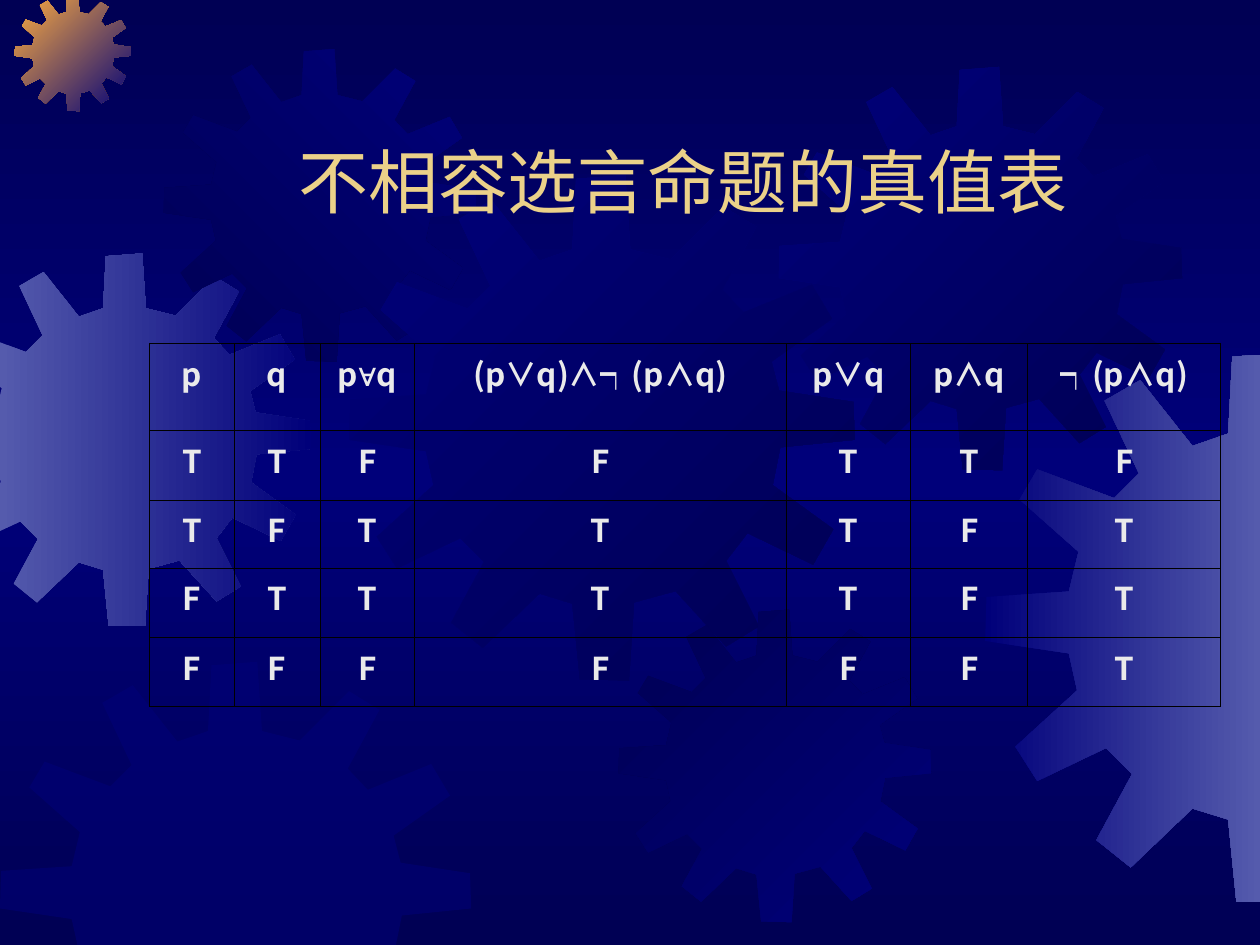
"""Build the truth table slide for exclusive disjunction on a background of gears."""
from copy import deepcopy

from lxml import etree
from pptx import Presentation
from pptx.dml.color import RGBColor
from pptx.enum import text as t
from pptx.oxml import ns
from pptx.util import Cm, Pt

COLORS = {
    "night": "000054", "navy": "00007A", "haze": "555BAD", "orange": "FCAB40",
    "gold": "EBD189", "light": "EAEAEA", "rule": "000000",
}
FONT = "Noto Sans CJK SC"
WIDTH, HEIGHT = 25.4, 19.05
GEAR_SPAN = 401
GEAR = [
    (255, 67), (223, 59), (219, 0), (180, 3), (177, 59), (151, 68), (113, 20), (87, 35),
    (112, 88), (94, 106), (38, 85), (25, 107), (68, 145), (61, 174), (1, 178), (0, 210),
    (61, 219), (67, 246), (22, 287), (38, 312), (88, 288), (107, 307), (81, 355), (106, 375),
    (151, 332), (177, 340), (183, 400), (222, 401), (226, 339), (259, 330), (299, 374), (325, 358),
    (299, 306), (316, 284), (368, 309), (384, 281), (336, 246), (342, 216), (401, 210), (400, 180),
    (341, 171), (335, 148), (383, 114), (367, 87), (313, 109), (296, 91), (323, 41), (297, 25),
]


def clip(points, axis, limit, sign):
    """Keep the part of an outline on one side of a slide edge."""
    kept = []
    for a, b in zip(points, points[1:] + points[:1]):
        a_inside, b_inside = (sign * (p[axis] - limit) >= 0 for p in (a, b))
        if a_inside:
            kept.append(a)
        if a_inside != b_inside:
            share = (limit - a[axis]) / (b[axis] - a[axis])
            kept.append(tuple(m + share * (n - m) for m, n in zip(a, b)))
    return kept


def style(paragraph, size, color, bold=False):
    """Centre a paragraph and set its font for Latin and East Asian text."""
    paragraph.alignment = t.PP_ALIGN.CENTER
    font = paragraph.font
    font.size, font.bold, font.name = Pt(size), bold, FONT
    font.color.rgb = RGBColor.from_string(COLORS[color])
    defaults = paragraph._p.pPr.find(ns.qn("a:defRPr"))
    etree.SubElement(defaults, ns.qn("a:ea"), typeface=FONT)


prs = Presentation()
prs.slide_width, prs.slide_height = Cm(WIDTH), Cm(HEIGHT)
slide = prs.slides.add_slide(prs.slide_layouts[6])

backdrop = slide.background.fill
backdrop.gradient()
backdrop.gradient_angle = 90
first_stop = backdrop.gradient_stops[0]._gs
first_stop.addnext(deepcopy(first_stop))
for stop, position, color in zip(backdrop.gradient_stops, (0, 0.5, 1), ("night", "navy", "night")):
    stop.position = position
    stop.color.rgb = RGBColor.from_string(COLORS[color])

gears = [
    (-1.24, 5.11, 7.52, ("haze", "navy"), 0),
    (0.3, -0.1, 2.34, ("orange", "navy"), 45),
    (3.3, 0.99, 6.3, ("night", "navy"), 315),
    (7.04, 3.53, 10.19, ("navy", "night"), 45),
    (0, 13.34, 9.5, ("navy",), 0),
    (12.47, 12.29, 6.3, ("night", "navy"), 45),
    (15.7, 1.35, 8.13, ("navy", "night"), 45),
    (19.86, 7.11, 11.1, ("navy", "haze"), 0),
]
for left, top, size, shades, angle in gears:
    outline = [(left + x * size / GEAR_SPAN, top + y * size / GEAR_SPAN) for x, y in GEAR]
    for axis, limit, sign in ((0, 0, 1), (1, 0, 1), (0, WIDTH, -1), (1, HEIGHT, -1)):
        outline = clip(outline, axis, limit, sign)
    corners = [(Cm(x), Cm(y)) for x, y in outline]
    builder = slide.shapes.build_freeform(*corners[0])
    builder.add_line_segments(corners[1:])
    gear = builder.convert_to_shape()
    gear.shadow.inherit = False
    gear.line.fill.background()
    if len(shades) == 1:
        gear.fill.solid()
        gear.fill.fore_color.rgb = RGBColor.from_string(COLORS[shades[0]])
        tint = gear._element.spPr.find(ns.qn("a:solidFill"))[0]
        etree.SubElement(tint, ns.qn("a:alpha"), val="50000")
    else:
        gear.fill.gradient()
        gear.fill.gradient_angle = -angle % 360
        for stop, position, shade in zip(gear.fill.gradient_stops, (0, 1), shades):
            stop.position = position
            stop.color.rgb = RGBColor.from_string(COLORS[shade])

title = slide.shapes.add_textbox(Cm(2.97), Cm(2.72), Cm(21.59), Cm(1.9)).text_frame
title.word_wrap = True
title.vertical_anchor = t.MSO_ANCHOR.BOTTOM
title.text = "不相容选言命题的真值表"
style(title.paragraphs[0], 40, "gold")

rows = [
    ("p", "q", "p∀q", "(p∨q)∧┑(p∧q)", "p∨q", "p∧q", "┑(p∧q)"),
    "TTFFTTF",
    "TFTTTFT",
    "FTTTTFT",
    "FFFFFFT",
]
column_widths = (1.7, 1.73, 1.91, 7.49, 2.51, 2.36, 3.89)
row_heights = (1.75, 1.4, 1.37, 1.4, 1.4)
truth_table = slide.shapes.add_table(
    len(rows), len(column_widths), Cm(3.02), Cm(6.93),
    Cm(sum(column_widths)), Cm(sum(row_heights))).table
truth_table.first_row = truth_table.horz_banding = False
for column, width in zip(truth_table.columns, column_widths):
    column.width = Cm(width)
for row, height, values in zip(truth_table.rows, row_heights, rows):
    row.height = Cm(height)
    for cell, value in zip(row.cells, values):
        cell.margin_left = cell.margin_right = Cm(0.2)
        cell.margin_top = cell.margin_bottom = Cm(0.13)
        paragraph = cell.text_frame.paragraphs[0]
        for part in value if "∀" in value else [value]:
            run = paragraph.add_run()
            run.text = part
            if part == "∀":
                run.font.name = "Arial"
        style(paragraph, 18, "light", bold=True)
        borders = cell._tc.get_or_add_tcPr()
        for side in ("lnL", "lnR", "lnT", "lnB"):
            edge = etree.SubElement(borders, ns.qn(f"a:{side}"), w=str(Pt(0.45)))
            ink = etree.SubElement(edge, ns.qn("a:solidFill"))
            etree.SubElement(ink, ns.qn("a:srgbClr"), val=COLORS["rule"])
        cell.fill.background()

prs.save("out.pptx")
